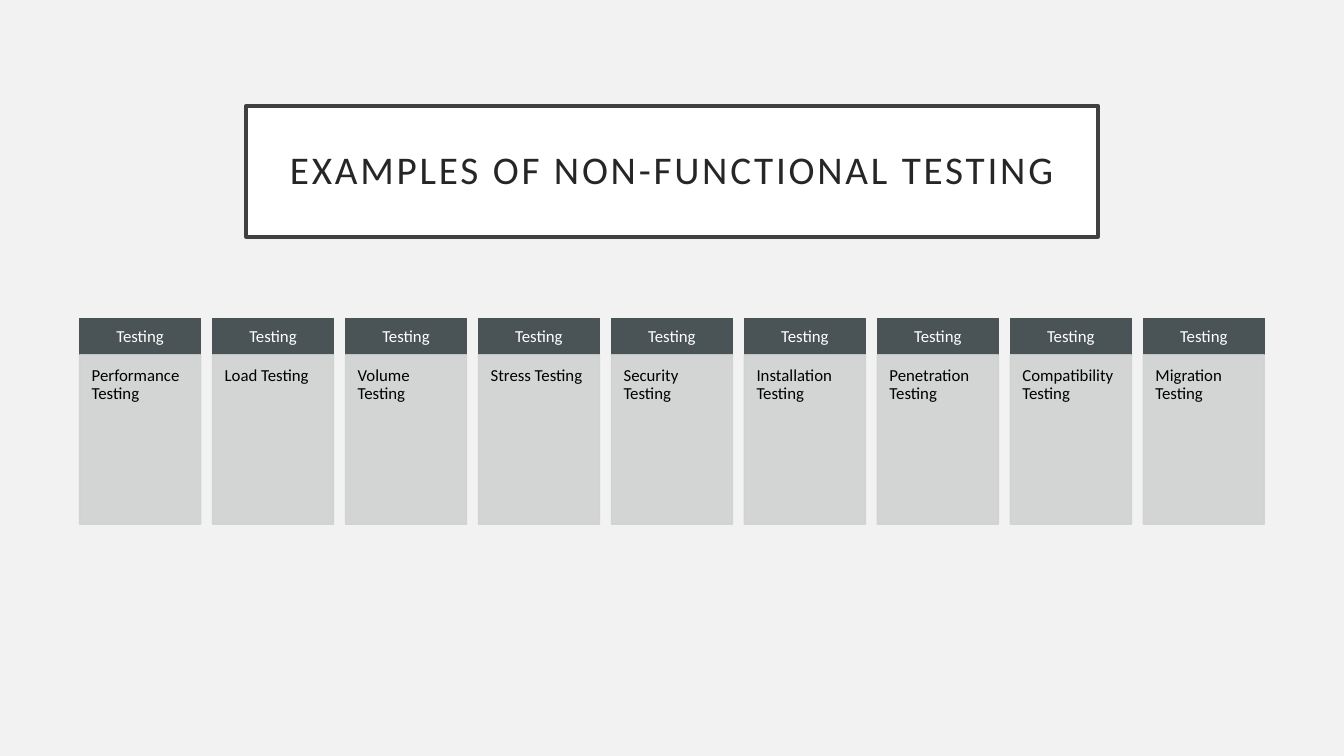
from lxml import etree
from pptx import Presentation
from pptx.dml.color import RGBColor
from pptx.enum.shapes import MSO_SHAPE
from pptx.enum.text import MSO_ANCHOR, MSO_AUTO_SIZE, PP_ALIGN
from pptx.oxml.ns import qn
from pptx.util import Inches, Pt

HUES = {"back": "F2F2F2", "white": "FFFFFF", "frame": "404040", "title": "262626",
        "head": "4A5356", "body": "D0D1D1", "black": "000000"}
TESTS = ["Performance", "Load", "Volume", "Stress", "Security", "Installation",
         "Penetration", "Compatibility", "Migration"]


def paint(shape, fill, edge, width, alpha=100):
    """Set fill and outline, with alpha as a percentage of opacity."""
    shape.fill.solid()
    shape.line.fill.solid()
    shape.line.width = Pt(width)
    for part, hue in ((shape.fill, fill), (shape.line.fill, edge)):
        part.fore_color.rgb = RGBColor.from_string(HUES[hue])
    if alpha < 100:
        for color in shape._element.spPr.iter(qn("a:srgbClr")):
            etree.SubElement(color, qn("a:alpha"), val=str(alpha * 1000))


def write(shape, text, size, hue, inset, align, anchor):
    frame = shape.text_frame
    frame.text = text
    form = {"word_wrap": True, "auto_size": MSO_AUTO_SIZE.NONE, "vertical_anchor": anchor}
    for side in ("left", "right", "top", "bottom"):
        form["margin_" + side] = Inches(inset)
    for key, value in form.items():
        setattr(frame, key, value)
    para = frame.paragraphs[0]
    para.alignment = align
    para.line_spacing = 0.9
    font = para.runs[0].font
    for key, value in {"name": "Calibri", "size": Pt(size), "bold": False}.items():
        setattr(font, key, value)
    font.color.rgb = RGBColor.from_string(HUES[hue])


deck = Presentation()
deck.slide_width, deck.slide_height = Inches(13.33), Inches(7.5)
slide = deck.slides.add_slide(deck.slide_layouts[5])
slide.background.fill.solid()
slide.background.fill.fore_color.rgb = RGBColor.from_string(HUES["back"])

title = slide.shapes.title
place = {"left": 2.44, "top": 1.05, "width": 8.45, "height": 1.3}
for key, value in place.items():
    setattr(title, key, Inches(value))
paint(title, "white", "frame", 2.5)
write(title, "EXAMPLES OF NON-FUNCTIONAL TESTING", 28, "title", 0.2,
      PP_ALIGN.CENTER, MSO_ANCHOR.MIDDLE)
title.text_frame.paragraphs[0].runs[0].font._element.set("spc", "200")

first, last, wide = 0.79, 11.34, 1.2
step = (last - first) / (len(TESTS) - 1)
for i, test in enumerate(TESTS):
    left = Inches(first + i * step)
    head = slide.shapes.add_shape(MSO_SHAPE.RECTANGLE, left, Inches(3.16),
                                  Inches(wide), Inches(0.36))
    body = slide.shapes.add_shape(MSO_SHAPE.RECTANGLE, left, Inches(3.52),
                                  Inches(wide), Inches(1.68))
    head.shadow.inherit = body.shadow.inherit = False
    paint(head, "head", "head", 1)
    paint(body, "body", "body", 1, 90)
    write(head, "Testing", 12, "white", 0.09, PP_ALIGN.CENTER, MSO_ANCHOR.MIDDLE)
    write(body, f"{test} Testing", 12, "black", 0.12, PP_ALIGN.LEFT, MSO_ANCHOR.TOP)

deck.save("out.pptx")
